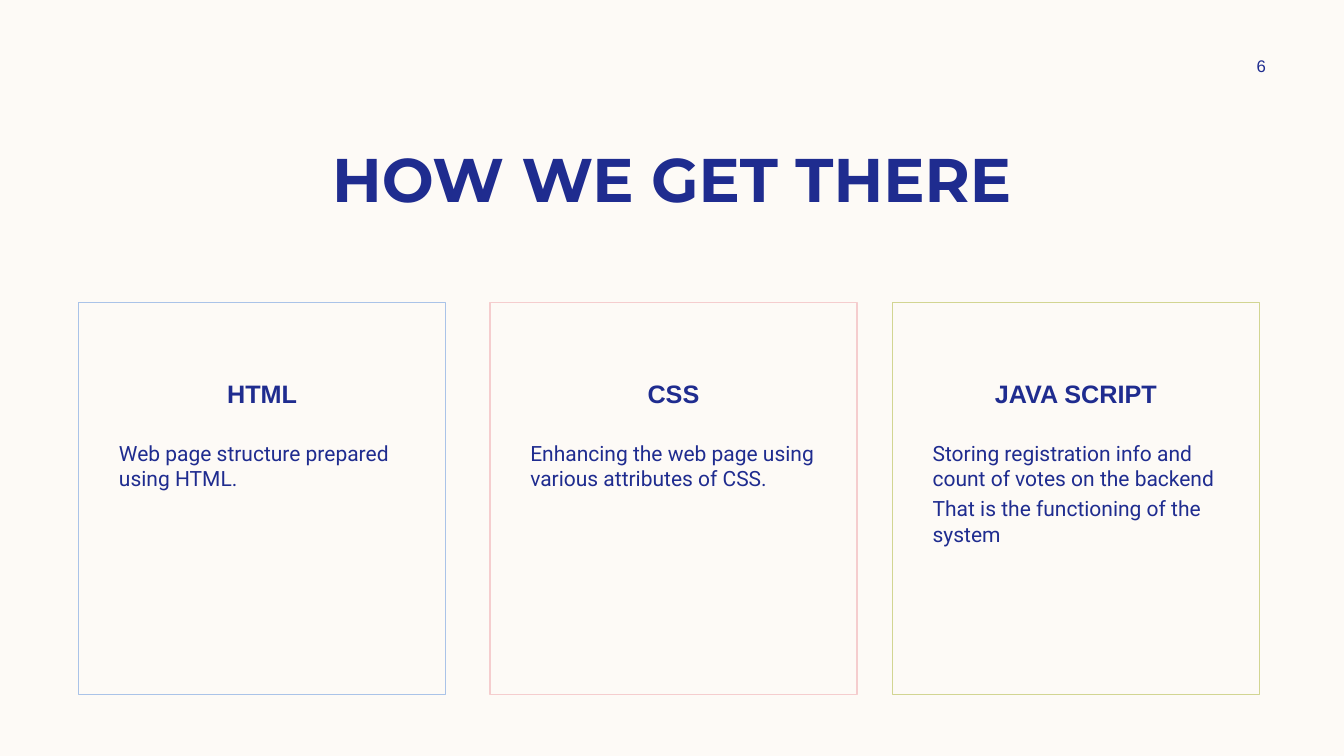
from dataclasses import dataclass

from lxml import etree
from pptx import Presentation
from pptx import util as u
from pptx.dml.color import RGBColor
from pptx.enum import shapes, text
from pptx.oxml.ns import qn

PX = 9144  # EMU in one px, 100 px to the inch


@dataclass(frozen=True)
class Theme:
    paper: str = "FDFAF6"
    ink: str = "1F2C8F"
    title: tuple = ("Montserrat", 44, True)
    heading: tuple = ("Arial", 18, True)
    body: tuple = ("Roboto", 15, False)
    number: tuple = ("Arial", 12, False)


THEME = Theme()
CARD_TOP, CARD_WIDTH, CARD_HEIGHT = 300, 364, 389
CARDS = [
    (78, "AAC3E8", "HTML", ["Web page structure prepared using HTML."]),
    (486, "F5CDCE", "CSS",
     ["Enhancing the web page using various attributes of CSS."]),
    (885, "D2D592", "JAVA SCRIPT",
     ["Storing registration info and count of votes on the backend",
      "That is the functioning of the system"]),
]


def px(*lengths):
    return [length * PX for length in lengths]


def set_all(target, values):
    for name, value in values.items():
        setattr(target, name, value)


def place(holder, box):
    set_all(holder, dict(zip(("left", "top", "width", "height"), px(*box))))


def write(holder, lines, style, align, anchor=text.MSO_ANCHOR.TOP, inset_top=5):
    """Fill a frame with unbulleted paragraphs in one theme style."""
    frame = holder.text_frame
    left, top, right, bottom = px(10, inset_top, 10, 5)
    set_all(frame, {
        "text": "\n".join(lines), "word_wrap": True,
        "auto_size": text.MSO_AUTO_SIZE.NONE, "vertical_anchor": anchor,
        "margin_left": left, "margin_top": top,
        "margin_right": right, "margin_bottom": bottom,
    })
    family, size, bold = style
    for index, paragraph in enumerate(frame.paragraphs):
        properties = paragraph._p.get_or_add_pPr()
        properties.set("marL", "0")
        properties.set("indent", "0")
        etree.SubElement(properties, qn("a:buNone"))
        set_all(paragraph, {"alignment": align,
                            "space_before": u.Pt(3.6 if index else 0)})
        for run in paragraph.runs:
            set_all(run.font, {"name": family, "size": u.Pt(size), "bold": bold})
            run.font.color.rgb = RGBColor.from_string(THEME.ink)


def add_card(slide, left, border, heading):
    card = slide.shapes.add_shape(
        shapes.MSO_SHAPE.RECTANGLE,
        *px(left, CARD_TOP, CARD_WIDTH, CARD_HEIGHT))
    card.shadow.inherit = False
    card.fill.background()
    card.line.color.rgb = RGBColor.from_string(border)
    card.line.width = u.Pt(1)
    write(card, [heading], THEME.heading, text.PP_ALIGN.CENTER, inset_top=75)


def add_page_number(slide, number):
    box = slide.shapes.add_textbox(*px(1197, 50, 108, 30))
    write(box, [number], THEME.number, text.PP_ALIGN.CENTER,
          text.MSO_ANCHOR.MIDDLE)


def main():
    deck = Presentation()
    deck.slide_width, deck.slide_height = px(1333, 750)
    slide = deck.slides.add_slide(deck.slide_layouts.get_by_name("Comparison"))
    slide.background.fill.solid()
    slide.background.fill.fore_color.rgb = RGBColor.from_string(THEME.paper)

    title, *details, spare = slide.placeholders
    spare.element.getparent().remove(spare.element)
    place(title, (83, 135, 1167, 84))
    write(title, ["HOW WE GET THERE"], THEME.title, text.PP_ALIGN.CENTER)
    add_page_number(slide, "6")

    for detail, (left, border, heading, lines) in zip(details, CARDS):
        add_card(slide, left, border, heading)
        place(detail, (left + 30, 432, 303, 241))
        write(detail, lines, THEME.body, text.PP_ALIGN.LEFT)

    deck.save("out.pptx")


if __name__ == "__main__":
    main()
